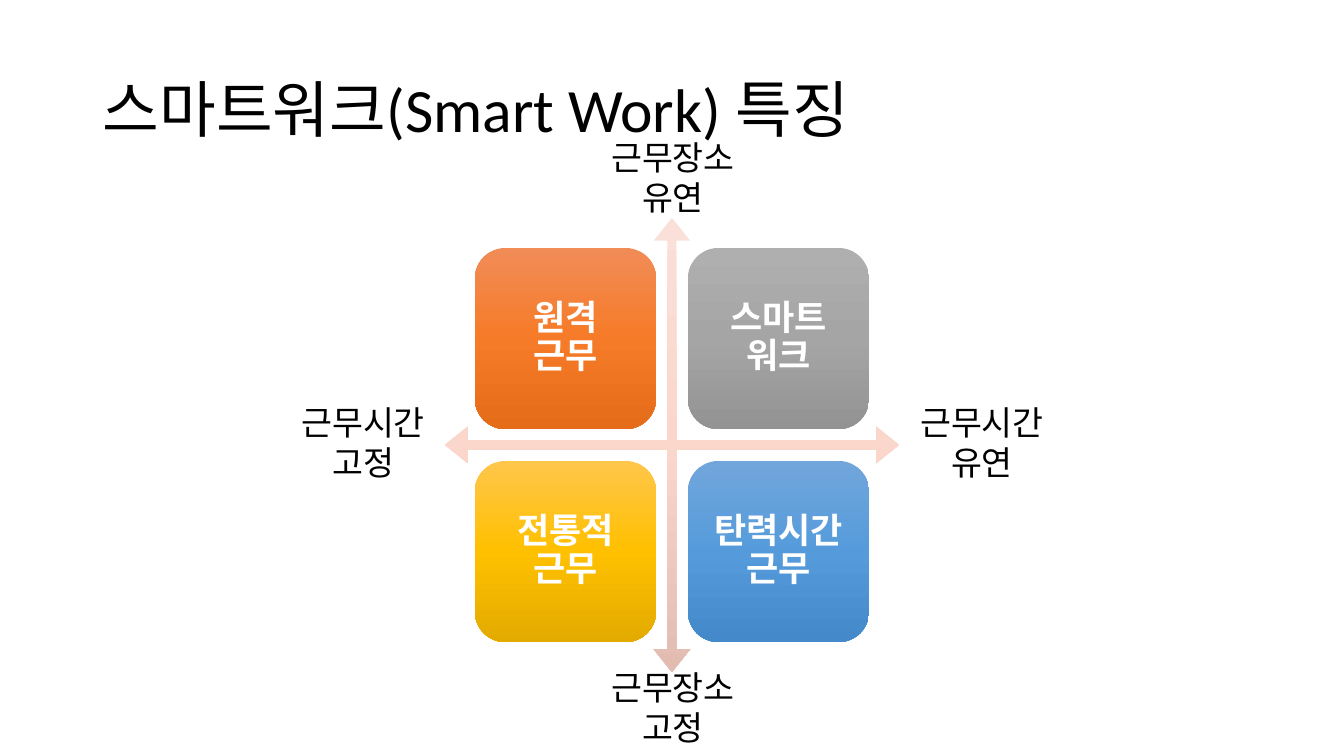
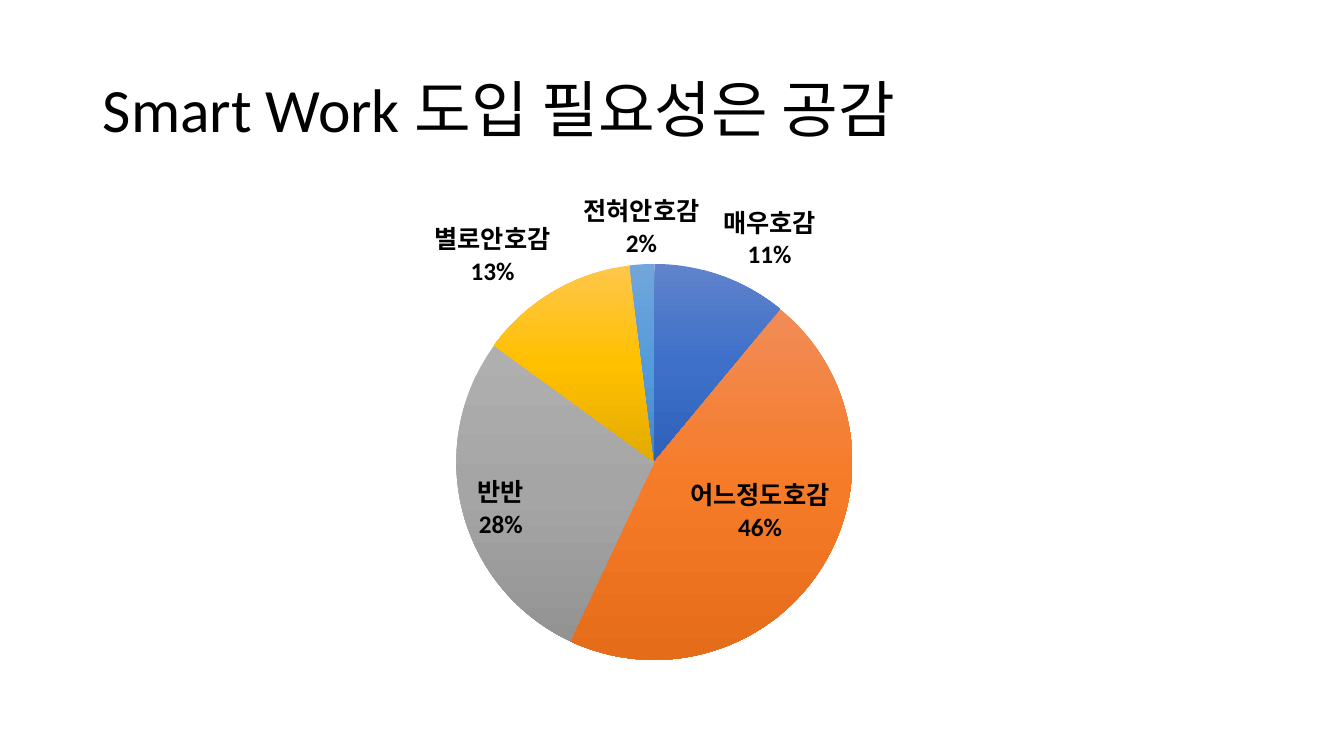
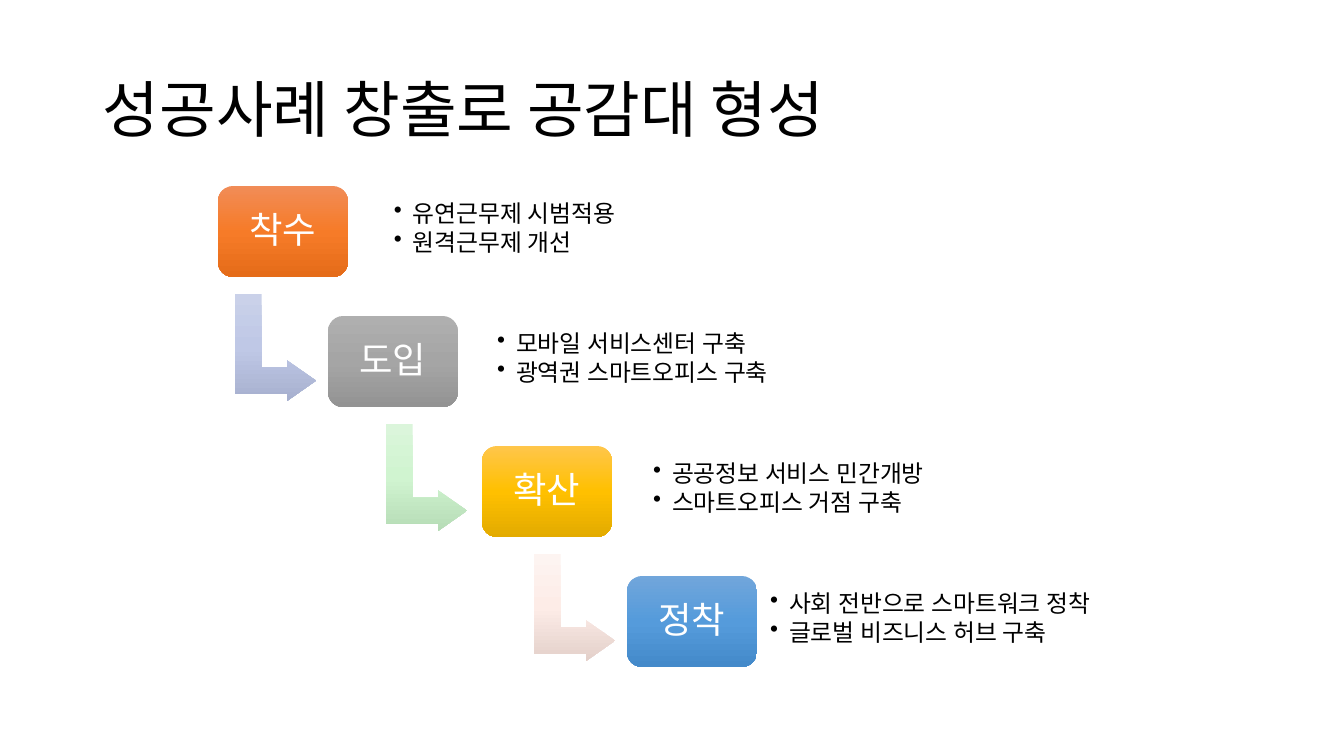
from lxml import etree
from pptx import Presentation
from pptx.chart.data import CategoryChartData
from pptx.dml.color import RGBColor
from pptx.enum.chart import XL_CHART_TYPE, XL_LABEL_POSITION
from pptx.enum.shapes import MSO_SHAPE
from pptx.enum.text import MSO_ANCHOR, MSO_AUTO_SIZE, PP_ALIGN
from pptx.oxml.ns import qn
from pptx.util import Pt

EMU = 914400 / 100.8
LEFT, CENTER = PP_ALIGN.LEFT, PP_ALIGN.CENTER
TOP, MIDDLE = MSO_ANCHOR.TOP, MSO_ANCHOR.MIDDLE
GROW = MSO_AUTO_SIZE.SHAPE_TO_FIT_TEXT
ROUND = MSO_SHAPE.ROUNDED_RECTANGLE
CROSS, BENT = MSO_SHAPE.QUAD_ARROW, MSO_SHAPE.BENT_UP_ARROW
PIE = XL_CHART_TYPE.PIE
BEST = XL_LABEL_POSITION.BEST_FIT

FONT, KOREAN = "Calibri", "Noto Sans CJK KR"
BLACK, WHITE = "000000", "FFFFFF"
BLUE = ("6083CB", "3E70CA", "2E61BA")
ORANGE = ("F18C57", "F67B28", "E56C19")
GRAY = ("AFAFAF", "A5A5A5", "939393")
GOLD = ("FFC64B", "FFC000", "E3AB00")
SKY = ("71A6DB", "559BDB", "448ACA")
PEACH = ("FAE0D8", "FAD6CB", "E2BCB1")
LILAC = ("CAD1E9", "BFC8E6", "A7B0CF")
MINT = ("DBF5DB", "D0F4D0", "B6DCB6")
ROSE = ("FDF4F1", "FDECE7", "E3D0CA")
CARDS = (ORANGE, GRAY, GOLD, SKY)


def px(*nums):
    """Turn pixels into EMU."""
    return [round(n * EMU) for n in nums]


def rgb(code):
    """Turn a hex string into a colour."""
    return RGBColor.from_string(code)


def shade(fill, props, stops):
    """Fill downwards with three stops, whatever the turn of the shape."""
    fill.gradient()
    grad = props.find(qn("a:gradFill"))
    grad.set("rotWithShape", "0")
    for child in list(grad):
        grad.remove(child)
    group = etree.SubElement(grad, qn("a:gsLst"))
    for pos, code in zip((0, 50000, 100000), stops):
        stop = etree.SubElement(group, qn("a:gs"), pos=str(pos))
        etree.SubElement(stop, qn("a:srgbClr"), val=code)
    etree.SubElement(grad, qn("a:lin"), ang="5400000", scaled="0")


def write(shape, text, size, color=BLACK, bold=False, align=LEFT,
          anchor=MIDDLE, lines=0.9, font=FONT):
    """Put styled text into a shape."""
    frame = shape.text_frame
    frame.text = text
    frame.word_wrap = True
    frame.vertical_anchor = anchor
    for para in frame.paragraphs:
        para.alignment = align
        para.line_spacing = lines
        for run in para.runs:
            run.font.size, run.font.bold = Pt(size), bold
            run.font.name = font
            run.font.color.rgb = rgb(color)
    return frame


def pad(frame, gap):
    """Set the same inset on all four sides."""
    inset = px(gap)[0]
    frame.margin_left = frame.margin_right = inset
    frame.margin_top = frame.margin_bottom = inset


def box(slide, at, text, size, **style):
    """Add a text box."""
    return write(slide.shapes.add_textbox(*px(*at)), text, size, **style)


def form(slide, kind, at, stops, adjust=(), turn=0):
    """Add a shaded preset shape without a line."""
    shape = slide.shapes.add_shape(kind, *px(*at))
    shape.shadow.inherit = False
    shape.line.fill.background()
    shade(shape.fill, shape._element.spPr, stops)
    for i, value in enumerate(adjust):
        shape.adjustments[i] = value
    shape.rotation = turn
    return shape


def card(slide, at, stops, text, size, bold=False):
    """Add a rounded card with centred white text."""
    shape = form(slide, ROUND, at, stops, (0.167,))
    pad(write(shape, text, size, WHITE, bold, CENTER), 4)


def label(slide, x, y, text):
    """Add the label at one end of an axis."""
    frame = box(slide, (x, y, 176, 92), text, 24, align=CENTER, anchor=TOP,
                lines=1.0, font=KOREAN)
    frame.auto_size = GROW


def points(slide, at, text):
    """Add a bulleted list."""
    frame = box(slide, at, text, 17)
    pad(frame, 9)
    for para in frame.paragraphs:
        para.space_after = Pt(2.5)
        props = para._p.get_or_add_pPr()
        indent = px(19)[0]
        props.set("marL", str(indent))
        props.set("indent", str(-indent))
        etree.SubElement(props, qn("a:buChar"), char="•")


def page(deck, title):
    """Add a blank slide with the shared title."""
    slide = deck.slides.add_slide(deck.slide_layouts[6])
    box(slide, (93, 40, 1159, 146), title, 44)
    return slide


def place(chart, x, y, w, h):
    """Fix the plot area, in parts of the chart."""
    area = chart._chartSpace.chart.plotArea
    for old in area.findall(qn("c:layout")):
        area.remove(old)
    layout = etree.Element(qn("c:layout"))
    area.insert(0, layout)
    manual = etree.SubElement(layout, qn("c:manualLayout"))
    for tag, value in (("layoutTarget", "inner"), ("xMode", "edge"),
                       ("yMode", "edge"), ("x", x), ("y", y),
                       ("w", w), ("h", h)):
        etree.SubElement(manual, qn("c:" + tag), val=str(value))


def pie(slide, at, names, values, shades):
    """Add a pie chart with names and shares as labels."""
    data = CategoryChartData()
    data.categories = names
    data.add_series("Series 1", values)
    chart = slide.shapes.add_chart(PIE, *px(*at), data).chart
    chart.has_title = chart.has_legend = False
    chart.font.name, chart.font.size = FONT, Pt(18)
    chart.font.color.rgb = rgb(BLACK)
    plot = chart.plots[0]
    plot.vary_by_categories = True
    for i, stops in enumerate(shades):
        style = plot.series[0].points[i].format
        style.line.fill.background()
        shade(style.fill, style._element.spPr, stops)
    plot.has_data_labels = True
    marks = plot.data_labels
    marks.show_category_name = marks.show_percentage = True
    marks.show_value = False
    marks.number_format, marks.number_format_is_linked = "0%", False
    marks.position = BEST
    marks.font.name, marks.font.size = FONT, Pt(18)
    marks.font.bold = True
    marks.font.color.rgb = rgb(BLACK)
    split = etree.Element(qn("c:separator"))
    split.text = "\n"
    marks._element.find(qn("c:showBubbleSize")).addnext(split)
    return chart


def traits(deck):
    """Build the matrix of place and time."""
    slide = page(deck, "스마트워크(Smart Work) 특징")
    form(slide, CROSS, (445, 218, 454, 454), PEACH, (0.02, 0.04, 0.05))
    names = ("원격\v근무", "스마트\v워크", "전통적\v근무", "탄력시간\v근무")
    for i, (name, stops) in enumerate(zip(names, CARDS)):
        row, col = divmod(i, 2)
        at = (475 + 213 * col, 248 + 213 * row, 181, 181)
        card(slide, at, stops, name, 25, True)
    for x, y, text in ((894, 397, "근무시간\n유연"), (275, 397, "근무시간\n고정"),
                       (585, 132, "근무장소\n유연"), (585, 662, "근무장소\n고정")):
        label(slide, x, y, text)


def survey(deck):
    """Build the survey chart."""
    slide = page(deck, "Smart Work 도입 필요성은 공감")
    names = ("매우호감", "어느정도호감", "반반", "별로안호감", "전혀안호감")
    chart = pie(slide, (219, 176, 907, 550), names, (11, 46, 28, 13, 2),
                (BLUE, *CARDS))
    place(chart, 0.26, 0.16, 0.44, 0.72)


def stages(deck):
    """Build the staircase of four stages."""
    slide = page(deck, "성공사례 창출로 공감대 형성")
    steps = (
        (218, "착수", 385, 259, "유연근무제 시범적용\n원격근무제 개선"),
        (328, "도입", 488, 320, "모바일 서비스센터 구축\n광역권 스마트오피스 구축"),
        (482, "확산", 644, 343, "공공정보 서비스 민간개방\n스마트오피스 거점 구축"),
        (627, "정착", 761, 365, "사회 전반으로 스마트워크 정착\n글로벌 비즈니스 허브 구축"),
    )
    for i, (x, name, left, wide, text) in enumerate(steps):
        drop = 130 * i
        card(slide, (x, 186 + drop, 130, 91), CARDS[i], name, 26)
        points(slide, (left, 178 + drop, wide, 102), text)
    for i, (x, stops) in enumerate(((222, LILAC), (373, MINT), (521, ROSE))):
        form(slide, BENT, (x, 307 + 130 * i, 107, 81), stops,
             (0.328, 0.25, 0.358), 90)


def main():
    """Build and save the deck."""
    deck = Presentation()
    deck.slide_width, deck.slide_height = px(1344, 756)
    traits(deck)
    survey(deck)
    stages(deck)
    deck.save("out.pptx")


main()
